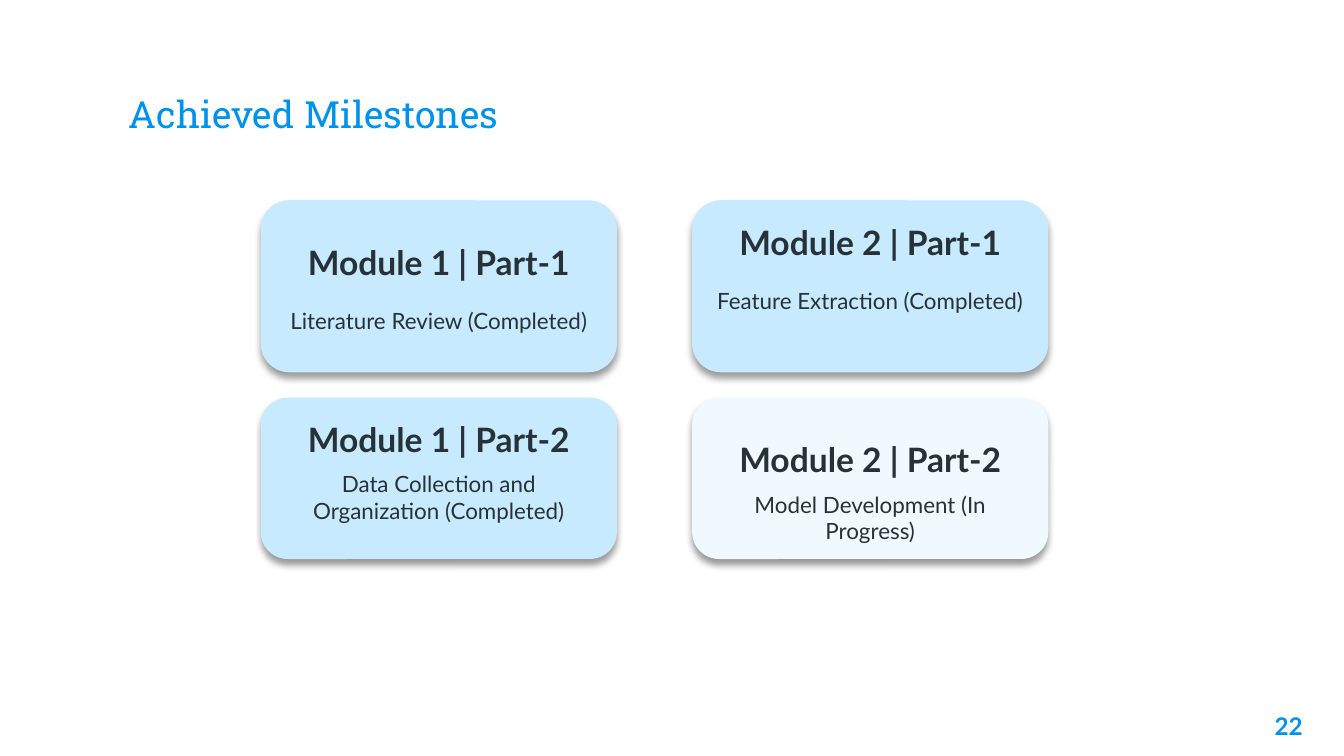
from lxml.etree import SubElement
from pptx import Presentation
from pptx.dml.color import RGBColor
from pptx.enum.shapes import MSO_SHAPE
from pptx.enum.text import MSO_ANCHOR, PP_ALIGN
from pptx.oxml.ns import qn
from pptx.util import Inches, Pt

COLORS = {
    "accent": "0091EA",
    "ink": "263238",
    "done": "C8EAFF",
    "in_progress": "EFF9FF",
    "shadow": "000000",
}

COLUMN_LEFTS = (1.94, 5.15)
ROWS = ((1.49, 1.28), (2.96, 1.2))
CARD_WIDTH = 2.65

MILESTONES = [
    [
        ("Module 1 | Part-1", 1.5, "Literature Review (Completed)", 1.5, "done"),
        ("Module 2 | Part-1", 1, "Feature Extraction (Completed)", 1.5, "done"),
    ],
    [
        ("Module 1 | Part-2", 1, "Data Collection and Organization (Completed)", 1, "done"),
        ("Module 2 | Part-2", 1.5, "Model Development (In Progress)", 1, "in_progress"),
    ],
]


def style_paragraph(paragraph, text, size, color, align, font="Lato", bold=False):
    """Write one paragraph in a single style."""
    paragraph.text = text
    paragraph.alignment = align
    paragraph.font.name = font
    paragraph.font.size = Pt(size)
    paragraph.font.bold = bold
    paragraph.font.color.rgb = RGBColor.from_string(COLORS[color])


def prepare_frame(frame, anchor):
    """Set wrapping, anchor and margins of a text frame."""
    frame.word_wrap = True
    frame.vertical_anchor = anchor
    frame.margin_left = frame.margin_right = Inches(0.1)
    frame.margin_top = frame.margin_bottom = Inches(0.1)


def add_shadow(shape):
    """Give a shape a soft shadow that falls straight down."""
    shape.shadow.inherit = False
    effects = shape._element.spPr.find(qn("a:effectLst"))
    shadow = SubElement(
        effects, qn("a:outerShdw"), blurRad=str(Pt(4)), dist=str(Pt(3)),
        dir=str(90 * 60000), algn="bl", rotWithShape="0",
    )
    tint = SubElement(shadow, qn("a:srgbClr"), val=COLORS["shadow"])
    SubElement(tint, qn("a:alpha"), val="40000")


def add_label(slide, box, text, anchor, **style):
    """Add a single-paragraph text box."""
    frame = slide.shapes.add_textbox(*map(Inches, box)).text_frame
    prepare_frame(frame, anchor)
    style_paragraph(frame.paragraphs[0], text, **style)


def add_card(slide, box, heading, heading_spacing, status, status_spacing, fill):
    """Add a milestone card with its module heading and status."""
    card = slide.shapes.add_shape(MSO_SHAPE.ROUNDED_RECTANGLE, *map(Inches, box))
    card.fill.solid()
    card.fill.fore_color.rgb = RGBColor.from_string(COLORS[fill])
    card.line.fill.background()
    add_shadow(card)
    frame = card.text_frame
    prepare_frame(frame, MSO_ANCHOR.TOP)
    module = frame.paragraphs[0]
    style_paragraph(module, heading, 18, "ink", PP_ALIGN.CENTER, bold=True)
    module.line_spacing = heading_spacing
    progress = frame.add_paragraph()
    style_paragraph(progress, status, 12, "ink", PP_ALIGN.CENTER)
    progress.line_spacing = status_spacing
    progress.space_before = Pt(6)


def add_milestones(slide):
    """Lay out the milestone cards in two columns."""
    for (top, height), cards in zip(ROWS, MILESTONES):
        for left, card in zip(COLUMN_LEFTS, cards):
            add_card(slide, (left, top, CARD_WIDTH, height), *card)


def main():
    """Build and save the milestones slide."""
    deck = Presentation()
    deck.slide_width, deck.slide_height = Inches(10), Inches(5.625)
    slide = deck.slides.add_slide(deck.slide_layouts[6])
    add_label(slide, (0.86, 0.34, 8.28, 0.77), "Achieved Milestones", MSO_ANCHOR.BOTTOM,
              size=20, color="accent", align=PP_ALIGN.LEFT, font="Roboto Slab")
    add_milestones(slide)
    add_label(slide, (9.19, 5.19, 0.6, 0.43), "22", MSO_ANCHOR.TOP,
              size=13, color="accent", align=PP_ALIGN.RIGHT, bold=True)
    deck.save("out.pptx")


if __name__ == "__main__":
    main()
